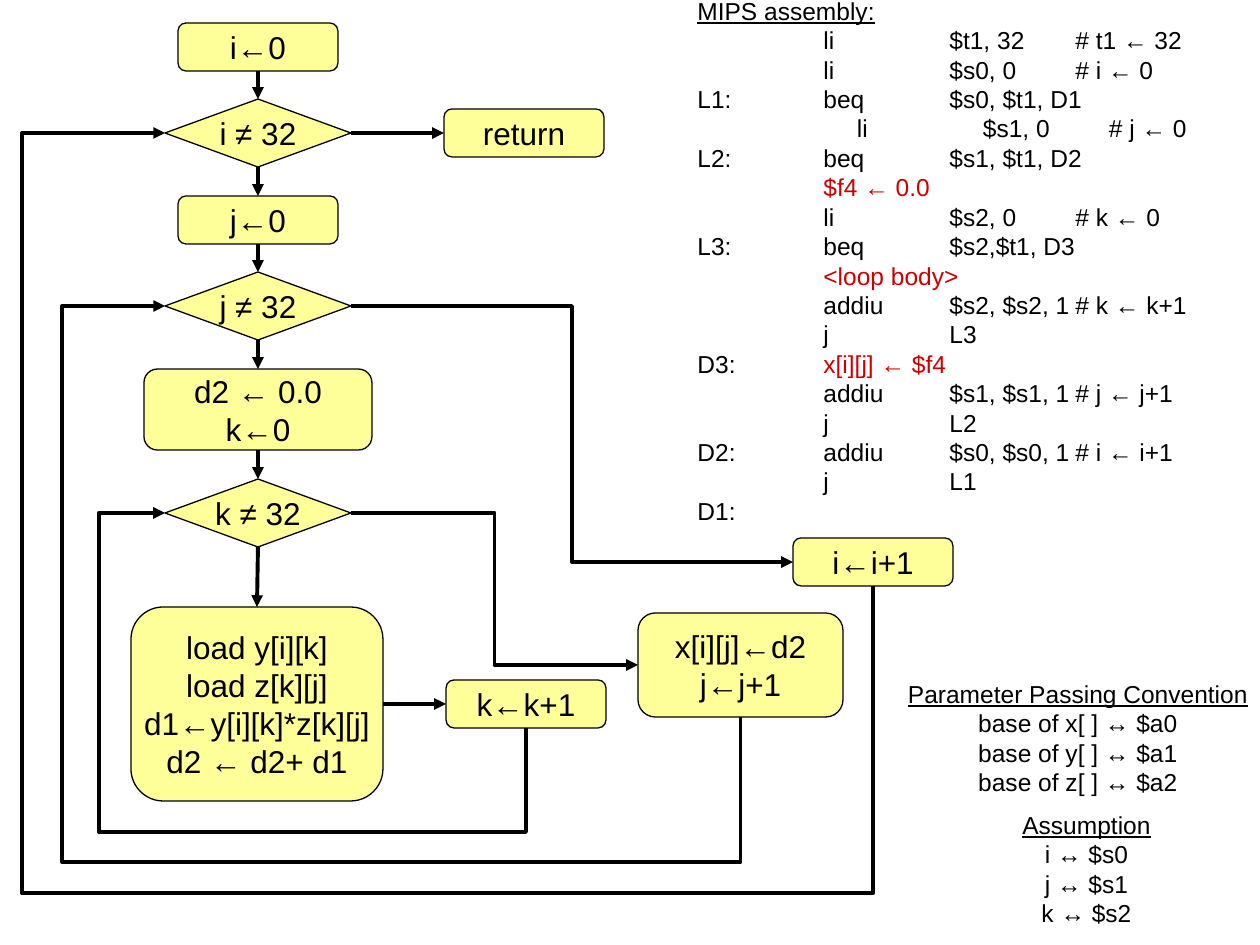
from itertools import pairwise

from lxml.etree import SubElement
from pptx import Presentation
from pptx.dml.color import RGBColor
from pptx.enum.shapes import MSO_CONNECTOR, MSO_SHAPE
from pptx.enum.text import MSO_ANCHOR, MSO_AUTO_SIZE, PP_ALIGN
from pptx.oxml.ns import qn
from pptx.util import Emu, Pt

PX_PER_INCH = 126
BLACK = RGBColor(0x00, 0x00, 0x00)
WHITE = RGBColor(0xFF, 0xFF, 0xFF)
YELLOW = RGBColor(0xFF, 0xFF, 0x99)
RED = RGBColor(0xCC, 0x00, 0x00)

TOP, LEFT, BOTTOM, RIGHT = range(4)
NODE_FRAME = {"word_wrap": False, "vertical_anchor": MSO_ANCHOR.MIDDLE}
NOTE_FRAME = {**NODE_FRAME, "auto_size": MSO_AUTO_SIZE.SHAPE_TO_FIT_TEXT}
NODE_FONT = {"name": "Arial", "size": Pt(18)}
NOTE_FONT = {"name": "Arial", "size": Pt(14)}

STEP = (MSO_SHAPE.ROUNDED_RECTANGLE, 160, 48)
TEST = (MSO_SHAPE.FLOWCHART_DECISION, 186, 68)
SETUP = (MSO_SHAPE.ROUNDED_RECTANGLE, 228, 81)
BODY = (MSO_SHAPE.ROUNDED_RECTANGLE, 252, 194)
STORE = (MSO_SHAPE.ROUNDED_RECTANGLE, 205, 104)

NODES = {
    "start i": (STEP, 156, 0, ["i←0"]),
    "test i": (TEST, 143, 76, ["i ≠ 32"]),
    "start j": (STEP, 156, 173, ["j←0"]),
    "test j": (TEST, 143, 249, ["j ≠ 32"]),
    "start k": (SETUP, 122, 346, ["d2 ← 0.0", "k←0"]),
    "test k": (TEST, 143, 456, ["k ≠ 32"]),
    "body": (BODY, 109, 584, ["load y[i][k]", "load z[k][j]", "d1←y[i][k]*z[k][j]", "d2 ← d2+ d1"]),
    "next k": (STEP, 424, 657, ["k←k+1"]),
    "next j": (STORE, 616, 590, ["x[i][j]←d2", "j←j+1"]),
    "next i": (STEP, 771, 515, ["i←i+1"]),
    "return": (STEP, 422, 86, ["return"]),
}
SPINE = ["start i", "test i", "start j", "test j", "start k", "test k", "body"]
BRANCHES = [("test i", "return"), ("body", "next k")]
EXITS = [("test k", "next j"), ("test j", "next i")]
LOOPS = [("next k", "test k", 77, 809), ("next j", "test j", 40, 839), ("next i", "test i", 0, 870)]

ASSEMBLY = [
    ("MIPS assembly:",),
    ("\tli\t$t1, 32 \t# t1 ← 32",),
    ("\tli\t$s0, 0\t# i ← 0",),
    ("L1:\tbeq\t$s0, $t1, D1",),
    ("\tli\t$s1, 0\t# j ← 0",),
    ("L2:\tbeq\t$s1, $t1, D2",),
    ("\t", "$f4 ← 0.0"),
    ("\tli\t$s2, 0\t# k ← 0",),
    ("L3:\tbeq\t$s2,$t1, D3",),
    ("\t", "<loop body>"),
    ("\taddiu\t$s2, $s2, 1\t# k ← k+1",),
    ("\tj\tL3",),
    ("D3:\t", "x[i][j] ← $f4"),
    ("\taddiu\t$s1, $s1, 1\t# j ← j+1",),
    ("\tj\tL2",),
    ("D2:\taddiu\t$s0, $s0, 1\t# i ← i+1",),
    ("\tj\tL1",),
    ("D1:",),
]
RIGHT_ALIGNED_ROW = 4
PARAMETERS = ["Parameter Passing Convention", "base of x[ ] ↔ $a0", "base of y[ ] ↔ $a1", "base of z[ ] ↔ $a2"]
ASSUMPTION = ["Assumption", "i ↔ $s0", "j ↔ $s1", "k ↔ $s2"]


def px(value):
    return Emu(round(value * 914400 / PX_PER_INCH))


def apply_format(target, values):
    for name, value in values.items():
        setattr(target, name, value)


def write_lines(shape, lines, frame_format, font_format, alignment):
    text_frame = shape.text_frame
    apply_format(text_frame, frame_format)
    for index, parts in enumerate(lines):
        paragraph = text_frame.paragraphs[0] if index == 0 else text_frame.add_paragraph()
        paragraph.alignment = alignment
        for part, color in zip(parts, (BLACK, RED)):
            run = paragraph.add_run()
            run.text = part
            apply_format(run.font, font_format)
            run.font.color.rgb = color
    return text_frame.paragraphs


def add_node(slide, origin, kind, left, top, lines):
    geometry, width, height = kind
    shape = slide.shapes.add_shape(geometry, px(origin[0] + left), px(origin[1] + top), px(width), px(height))
    shape.shadow.inherit = False
    shape.fill.solid()
    shape.fill.fore_color.rgb = YELLOW
    shape.line.color.rgb = BLACK
    shape.line.width = Pt(0.75)
    write_lines(shape, [(line,) for line in lines], NODE_FRAME, NODE_FONT, PP_ALIGN.CENTER)
    return shape


def add_arrow(slide, kind, source, source_side, target, target_side):
    connector = slide.shapes.add_connector(kind, 0, 0, 0, 0)
    connector.begin_connect(source, source_side)
    connector.end_connect(target, target_side)
    connector.line.color.rgb = BLACK
    connector.line.width = Pt(2.25)
    properties = connector._element.spPr
    SubElement(properties.find(qn("a:ln")), qn("a:tailEnd"), type="triangle")
    SubElement(properties, qn("a:effectLst"))
    return connector


def add_loop_arrow(slide, source, target, lane_left, lane_bottom):
    connector = add_arrow(slide, MSO_CONNECTOR.ELBOW, source, BOTTOM, target, LEFT)
    start_x, start_y = connector.begin_x, connector.begin_y
    end_x, end_y = connector.end_x, connector.end_y
    across, rise = start_x - end_x, start_y - end_y
    apply_format(connector, {
        "left": Emu((start_x + end_x - rise) // 2),
        "top": Emu((start_y + end_y - across) // 2),
        "width": Emu(rise),
        "height": Emu(across),
    })
    properties = connector._element.spPr
    transform = properties.find(qn("a:xfrm"))
    for name, value in {"rot": "16200000", "flipH": "0", "flipV": "1"}.items():
        transform.set(name, value)
    geometry = properties.find(qn("a:prstGeom"))
    geometry.set("prst", "bentConnector4")
    adjustments = geometry.find(qn("a:avLst"))
    ratios = {"adj1": (start_y - px(lane_bottom)) / rise, "adj2": (start_x - px(lane_left)) / across}
    for name, ratio in ratios.items():
        SubElement(adjustments, qn("a:gd"), name=name, fmla=f"val {round(ratio * 100000)}")


def add_flowchart(slide, left, top):
    nodes = {name: add_node(slide, (left, top), *values) for name, values in NODES.items()}
    for source, target in pairwise(SPINE):
        add_arrow(slide, MSO_CONNECTOR.STRAIGHT, nodes[source], BOTTOM, nodes[target], TOP)
    for kind, pairs in ((MSO_CONNECTOR.STRAIGHT, BRANCHES), (MSO_CONNECTOR.ELBOW, EXITS)):
        for source, target in pairs:
            add_arrow(slide, kind, nodes[source], RIGHT, nodes[target], LEFT)
    for source, target, lane_left, lane_bottom in LOOPS:
        add_loop_arrow(slide, nodes[source], nodes[target], left + lane_left, top + lane_bottom)


def add_note(slide, left, top, width, height, lines, alignment=PP_ALIGN.CENTER):
    shape = slide.shapes.add_textbox(px(left), px(top), px(width), px(height))
    paragraphs = write_lines(shape, lines, NOTE_FRAME, NOTE_FONT, alignment)
    paragraphs[0].runs[0].font.underline = True
    return shape


def add_assembly(slide, left, top, width, height):
    shape = add_note(slide, left, top, width, height, ASSEMBLY, PP_ALIGN.LEFT)
    shape.fill.solid()
    shape.fill.fore_color.rgb = WHITE
    paragraphs = shape.text_frame.paragraphs
    paragraphs[RIGHT_ALIGNED_ROW].alignment = PP_ALIGN.RIGHT
    for paragraph in paragraphs:
        tab_list = SubElement(paragraph._p.get_or_add_pPr(), qn("a:tabLst"))
        for column in range(1, 4):
            SubElement(tab_list, qn("a:tab"), pos=str(px(column * PX_PER_INCH)), algn="l")


def main():
    presentation = Presentation()
    presentation.slide_width, presentation.slide_height = px(1260), px(945)
    slide = presentation.slides.add_slide(presentation.slide_layouts[6])
    add_note(slide, 894, 672, 368, 131, [(line,) for line in PARAMETERS])
    add_note(slide, 1009, 803, 155, 131, [(line,) for line in ASSUMPTION])
    add_assembly(slide, 685, -13, 523, 547)
    add_flowchart(slide, 22, 23)
    presentation.save("out.pptx")


if __name__ == "__main__":
    main()
